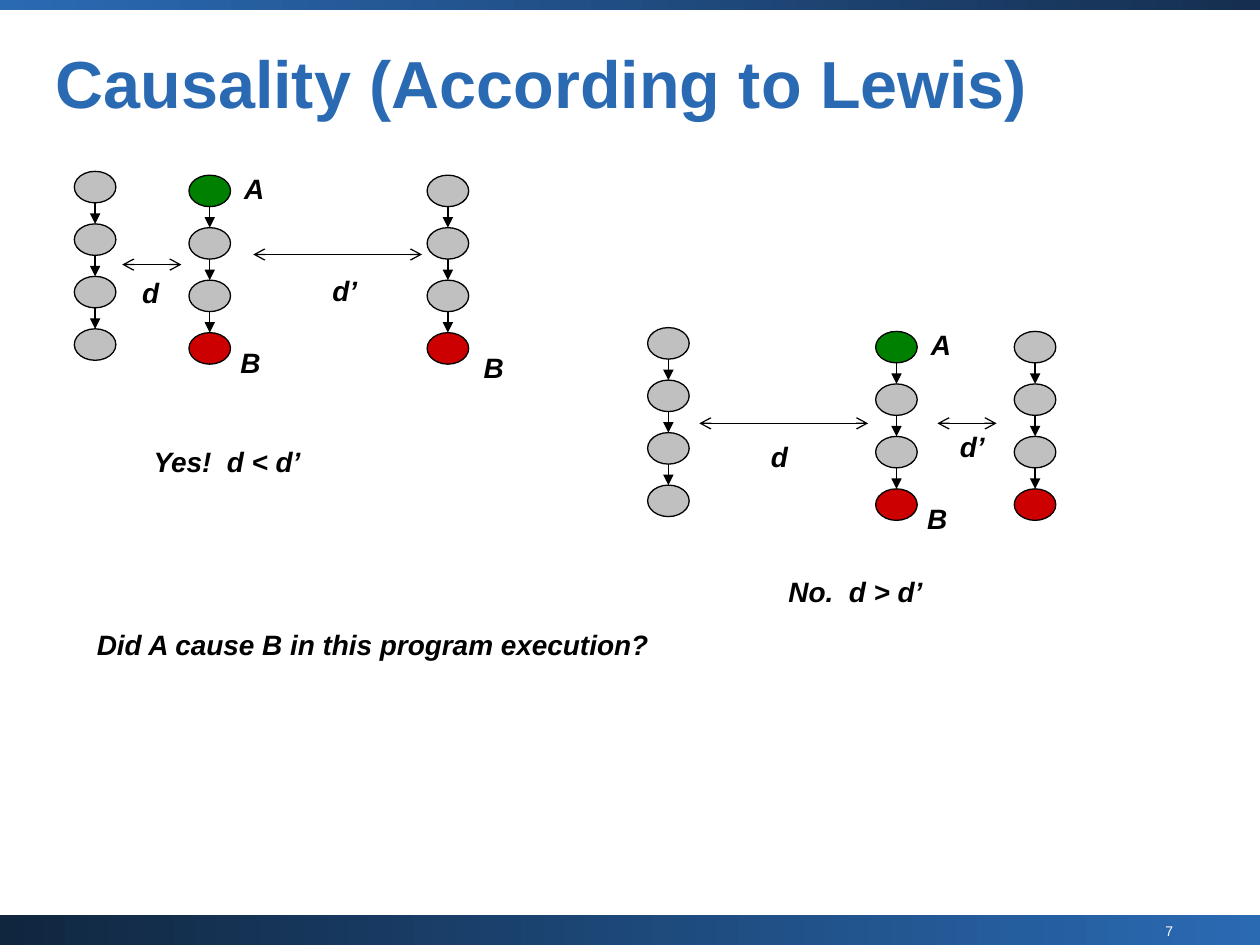
import pptx
import pptx.util
import pptx.dml.color
import pptx.enum.shapes
import pptx.enum.text
import pptx.oxml
import pptx.oxml.ns
import lxml.etree

Inches = pptx.util.Inches
Pt = pptx.util.Pt
Shape = pptx.enum.shapes.MSO_SHAPE
Align = pptx.enum.text.PP_ALIGN
Anchor = pptx.enum.text.MSO_ANCHOR

BLACK, GRAY, GREEN, RED = "000000", "C0C0C0", "008000", "CC0000"
BLUE, WHITE = "2A6AB3", "FFFFFF"
WIDE, TALL, STEP = 0.33, 0.25, 1.25 / 3
PLAIN = [GRAY] * 4
CAUSE = [GREEN, GRAY, GRAY, RED]
OTHER = [GRAY, GRAY, GRAY, RED]


def color(code):
    return pptx.dml.color.RGBColor.from_string(code)


def write(slide, text, x, y, w, h=0.37, size=16, tint=BLACK, italic=True):
    box = slide.shapes.add_textbox(Inches(x), Inches(y), Inches(w), Inches(h))
    line = box.text_frame.paragraphs[0]
    line.text = text
    font = line.font
    font.name, font.size = "Arial", Pt(size)
    font.bold = font.italic = italic
    font.color.rgb = color(tint)
    return box.text_frame


def arrow(slide, x1, y1, x2, y2, **ends):
    line = slide.shapes.add_connector(
        pptx.enum.shapes.MSO_CONNECTOR.STRAIGHT,
        Inches(x1), Inches(y1), Inches(x2), Inches(y2))
    line.line.color.rgb = color(BLACK)
    line.line.width = Pt(0.75)
    qn = pptx.oxml.ns.qn
    stroke = line.line._get_or_add_ln()
    for end, kind in ends.items():
        lxml.etree.SubElement(stroke, qn("a:" + end)).set("type", kind)
    lxml.etree.SubElement(line._element.spPr, qn("a:effectLst"))


def chain(slide, x, y, fills):
    for row, fill in enumerate(fills):
        top = y + row * STEP
        node = slide.shapes.add_shape(
            Shape.OVAL, Inches(x), Inches(top), Inches(WIDE), Inches(TALL))
        node.shadow.inherit = False
        node.fill.solid()
        node.fill.fore_color.rgb = color(fill)
        node.line.color.rgb = color(BLACK)
        node.line.width = Pt(0.75)
        if row:
            mid = x + WIDE / 2
            arrow(slide, mid, top - STEP + TALL, mid, top, tailEnd="triangle")


def world(slide, x, y, mid, last, spans, notes):
    chain(slide, x, y, PLAIN)
    chain(slide, x + mid, y + 0.03, CAUSE)
    chain(slide, x + last, y + 0.03, OTHER)
    for left, right, drop in spans:
        arrow(slide, x + left, y + drop, x + right, y + drop,
              headEnd="arrow", tailEnd="arrow")
    marks = [("A", mid + 0.34, -0.05, 0.36), ("B", mid + 0.31, 1.33, 0.36)]
    for text, left, drop, w in marks + notes:
        write(slide, text, x + left, y + drop, w).word_wrap = False


def band(slide, y, h, start, end):
    bar = slide.shapes.add_shape(
        Shape.RECTANGLE, 0, Inches(y), Inches(10), Inches(h))
    bar.shadow.inherit = False
    bar.line.fill.background()
    bar.fill.gradient()
    bar.fill.gradient_angle = 0
    for stop, code in zip(bar.fill.gradient_stops, (start, end)):
        stop.color.rgb = color(code)


def frame(slide):
    band(slide, 7.26, 0.24, "10263F", BLUE)
    band(slide, 0, 0.08, BLUE, "162F50")
    page = write(slide, "7", 6.73, 7.27, 2.68, 0.23, 8, WHITE, False)
    page.word_wrap = True
    page.paragraphs[0].alignment = Align.RIGHT


def title(slide, x, y, w, h):
    head = write(slide, "Causality (According to Lewis)",
                 x, y, w, h, 38, BLUE, False)
    head.word_wrap = True
    head.vertical_anchor = Anchor.MIDDLE
    head.margin_left = head.margin_right = 0
    head.margin_top = head.margin_bottom = 0
    head.paragraphs[0].line_spacing = 0.87
    head.paragraphs[0].font.bold = True


def main():
    deck = pptx.Presentation()
    deck.slide_width, deck.slide_height = Inches(10), Inches(7.5)
    slide = deck.slides.add_slide(deck.slide_layouts[6])
    frame(slide)
    title(slide, 0.44, 0.27, 9.53, 0.85)
    world(slide, 0.59, 1.36, 0.91, 2.8,
          [(0.38, 0.85, 0.74), (1.42, 2.76, 0.66)],
          [("d", 0.44, 0.78, 0.34), ("d’", 1.95, 0.76, 0.4),
           ("B", 3.15, 1.37, 0.36), ("Yes!  d < d’", 0.53, 2.12, 1.38)])
    world(slide, 5.14, 2.6, 1.81, 2.91,
          [(0.41, 1.75, 0.76), (2.3, 2.77, 0.76)],
          [("d", 0.88, 0.84, 0.34), ("d’", 2.38, 0.76, 0.4),
           ("No.  d > d’", 1.02, 1.91, 1.27)])
    write(slide, "Did A cause B in this program execution?",
          0.67, 4.93, 4.61).word_wrap = False
    deck.save("out.pptx")


if __name__ == "__main__":
    main()
